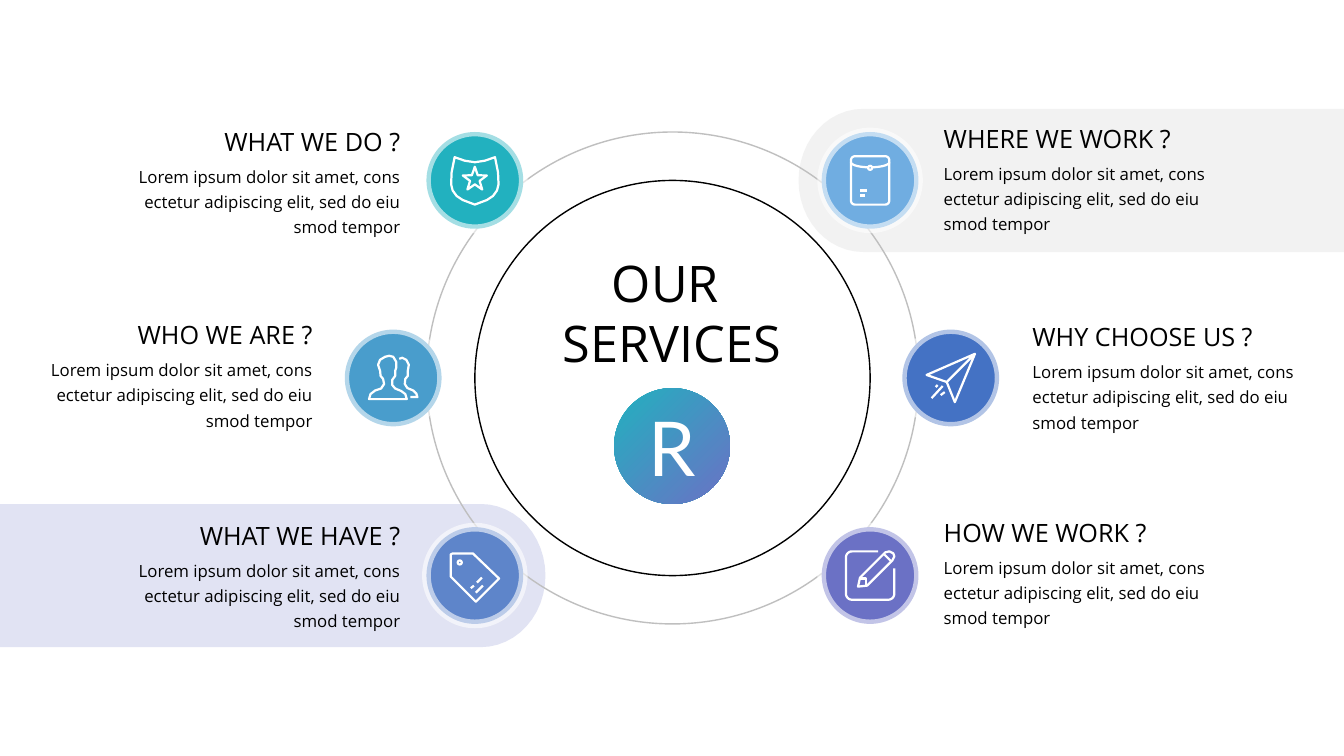
"""Build the OUR SERVICES slide: six services placed around a central ring."""
from math import cos, pi, radians, sin

from lxml.etree import SubElement
from pptx import Presentation
from pptx.dml.color import RGBColor
from pptx.enum.shapes import MSO_SHAPE as Shape
from pptx.enum.text import MSO_ANCHOR as Anchor, MSO_AUTO_SIZE as AutoSize, PP_ALIGN as Align
from pptx.oxml.ns import qn
from pptx.util import Inches, Pt

COLORS = {
    "black": "000000", "white": "FFFFFF", "orbit": "BFBFBF",
    "lavender": "E1E3F3", "pale": "F2F2F2",
    "teal": "22B1BF", "sky": "70ADE1", "cyan": "499DCC",
    "royal": "4472C4", "denim": "5E85CA", "violet": "6B71C5",
}
RGB = {name: RGBColor.from_string(value) for name, value in COLORS.items()}
LOREM = "Lorem ipsum dolor sit amet, cons ectetur adipiscing elit, sed do eiu smod tempor"
SLIDE_WIDTH = 13.33
DISC = 0.96


def arc(cx, cy, rx, ry, start, end, steps=24):
    """Return points along an elliptical arc, angles in degrees."""
    angles = [radians(start + (end - start) * i / steps) for i in range(steps + 1)]
    return [(cx + rx * cos(a), cy + ry * sin(a)) for a in angles]


def trace(strokes, cx=0, cy=0, unit=1.0, closed=False):
    """Draw point lists as one freeform around a centre."""
    placed = [[(Inches(cx + x * unit), Inches(cy + y * unit)) for x, y in stroke] for stroke in strokes]
    builder = slide.shapes.build_freeform(*placed[0][0], scale=1.0)
    for index, stroke in enumerate(placed):
        if index:
            builder.move_to(*stroke[0])
        builder.add_line_segments(stroke[1:], close=closed)
    outline = builder.convert_to_shape()
    outline.shadow.inherit = False
    return outline


shield_half = [(0, 24), (12, 19.5), (18, 15.5), (22, 10), (23.5, 4), (23, -8), (20, -23), (10, -19.5), (0, -18)]
shield = shield_half + [(-x, y) for x, y in shield_half[-2::-1]]
star = [((12.5, 5)[i % 2] * sin(i * pi / 5), -1 - (12.5, 5)[i % 2] * cos(i * pi / 5)) for i in range(11)]
envelope = (arc(-15, -20, 4, 4, 180, 270, 6) + arc(15, -20, 4, 4, 270, 360, 6)
            + arc(15, 20, 4, 4, 0, 90, 6) + arc(-15, 20, 4, 4, 90, 180, 6) + [(-19, -20)])
notepad = ([(8, -24)] + arc(-18, -18, 6, 6, 270, 180, 6) + arc(-18, 18, 6, 6, 180, 90, 6)
           + arc(18, 18, 6, 6, 90, 0, 6) + [(24, -7)])
person = [(-24, 21), (-22.5, 16), (-18, 12.5), (-12, 10.5), (-9, 6), (-10, 1), (-12.5, -2), (-13, -7),
          (-15, -13), (-13, -18), (-8, -21), (-4, -22), (0, -21), (3, -16), (3, -10), (2, -7), (2, -2),
          (-1, 2), (-1, 7), (2, 10.5), (8, 13), (12, 16), (13.5, 21), (-24, 21)]
neighbour = [(6, -19), (9, -20), (13, -18), (15.5, -13), (14.5, -7), (14.5, -2), (12, 1), (11.5, 6),
             (14, 10), (20, 12.5), (23, 15.5), (24, 19), (17, 19)]

icons = {
    "shield": [shield, star],
    "people": [person, neighbour],
    "tag": [[(-24, -21), (-22, -22), (-2, -22), (24, 3), (1, 26), (-24, 1), (-24, -21)],
            arc(-15, -13, 2, 2, 0, 360, 12),
            [(8, 10), (1, 17)], [(-1, 10), (-4, 12.5)], [(7, 2), (2, 7)]],
    "envelope": [envelope, arc(0, -18, 19, 5, 180, 90, 12)[:-1] + [(-2, -13)],
                 [(2, -13)] + arc(0, -18, 19, 5, 90, 0, 12)[1:],
                 arc(0, -12.5, 2, 2, 0, 360, 12), [(-10, 10), (-3, 10)], [(-10, 15), (-5, 15)]],
    "plane": [[(24, -24), (-24, -3), (-4, 4), (4, 24), (24, -24), (-4, 4)],
              [(-8, 8), (-19, 20)], [(-6, 14), (-10, 17)], [(-13, 7), (-15, 9)]],
    "notepad": [notepad,
                [(-12, 11), (-10, 2), (15, -23), (19, -24), (23, -22), (24, -19), (22, -15), (-3, 10), (-12, 11)],
                [(14, -21), (21, -14)], [(-10, 3), (-4, 3), (-4, 10)]],
}

deck = Presentation()
deck.slide_width, deck.slide_height = Inches(SLIDE_WIDTH), Inches(7.5)
slide = deck.slides.add_slide(deck.slide_layouts[5])

band_end = arc(4.77, 5.71, 0.64, 0.71, -90, 90)
left_band = [(0, 5)] + band_end + [(0, 6.42)]
right_band = [(SLIDE_WIDTH - x, 7.5 - y) for x, y in left_band]
for band_points, tint in ((left_band, "lavender"), (right_band, "pale")):
    band = trace([band_points], closed=True)
    band.fill.solid()
    band.fill.fore_color.rgb = RGB[tint]
    band.line.fill.background()

for left, top, diameter, stroke_color in ((4.23, 1.31, 4.88, "orbit"), (4.71, 1.79, 3.92, "black")):
    ring = slide.shapes.add_shape(Shape.OVAL, Inches(left), Inches(top), Inches(diameter), Inches(diameter))
    ring.shadow.inherit = False
    ring.fill.background()
    ring.line.color.rgb = RGB[stroke_color]
    ring.line.width = Pt(1)

title = slide.shapes.title
title.left, title.top, title.width, title.height = Inches(5.55), Inches(2.5), Inches(2.23), Inches(1.21)
title_frame = title.text_frame
title_frame.margin_left = title_frame.margin_right = title_frame.margin_top = title_frame.margin_bottom = 0
title_frame.word_wrap = False
title_frame.auto_size = AutoSize.NONE
title_frame.vertical_anchor = Anchor.TOP
for line_number, words in enumerate(("OUR ", "SERVICES")):
    title_line = title_frame.add_paragraph() if line_number else title_frame.paragraphs[0]
    title_line.alignment = Align.CENTER
    title_run = title_line.add_run()
    title_run.text = words
    title_run.font.name, title_run.font.size = "Open Sans", Pt(36)
    title_run.font.color.rgb = RGB["black"]

badge = slide.shapes.add_shape(Shape.OVAL, Inches(6.09), Inches(3.85), Inches(1.15), Inches(1.15))
badge.shadow.inherit = False
badge.fill.gradient()
badge.fill.gradient_angle = 315
for stop, hue in zip(badge.fill.gradient_stops, ("teal", "violet")):
    stop.color.rgb = RGB[hue]
badge.line.fill.background()
badge.text_frame.vertical_anchor = Anchor.MIDDLE
badge.text_frame.paragraphs[0].alignment = Align.CENTER
letter = badge.text_frame.paragraphs[0].add_run()
letter.text = "R"
letter.font.name, letter.font.size = "Lato", Pt(54)
letter.font.color.rgb = RGB["white"]

services = [
    ("WHY CHOOSE US ?", "plane", "royal", 9.43, 3.75, 10.24, 3.19, 2.24),
    ("WHERE WE WORK ?", "envelope", "sky", 8.63, 1.79, 9.36, 1.22, 2.31),
    ("HOW WE WORK ?", "notepad", "violet", 8.63, 5.71, 9.36, 5.13, 2.07),
    ("WHAT WE DO ?", "shield", "teal", 4.71, 1.79, 3.97, 1.25, 1.79),
    ("WHAT WE HAVE ?", "tag", "denim", 4.71, 5.71, 3.97, 5.16, 2.05),
    ("WHO WE ARE ?", "people", "cyan", 3.9, 3.75, 3.1, 3.17, 1.78),
]
for heading, icon, hue, cx, cy, text_edge, text_top, heading_width in services:
    disc = slide.shapes.add_shape(Shape.OVAL, Inches(cx - DISC / 2), Inches(cy - DISC / 2),
                                  Inches(DISC), Inches(DISC))
    disc.shadow.inherit = False
    disc.fill.solid()
    disc.fill.fore_color.rgb = RGB[hue]
    disc.line.color.rgb = RGB["white"]
    disc.line.width = Pt(6.25)
    SubElement(disc.element.xpath(".//a:ln//a:srgbClr")[0], qn("a:alpha"), val="59000")

    symbol = trace(icons[icon], cx, cy, 0.01)
    symbol.fill.background()
    symbol.line.color.rgb = RGB["white"]
    symbol.line.width = Pt(1.6)

    on_left = text_edge < cx
    for words, top, width, height, size, spacing, wraps in (
        (heading, text_top, heading_width, 0.3, 18, 1.0, False),
        (LOREM, text_top + 0.35, 2.62, 0.75, 12, 1.25, True),
    ):
        left = text_edge - width if on_left else text_edge
        caption = slide.shapes.add_textbox(Inches(left), Inches(top), Inches(width), Inches(height)).text_frame
        caption.margin_left = caption.margin_right = caption.margin_top = caption.margin_bottom = 0
        caption.word_wrap = wraps
        paragraph = caption.paragraphs[0]
        paragraph.alignment = Align.RIGHT if on_left else Align.LEFT
        paragraph.line_spacing = spacing
        run = paragraph.add_run()
        run.text = words
        run.font.name, run.font.size = "Open Sans", Pt(size)
        run.font.color.rgb = RGB["black"]

deck.save("out.pptx")
